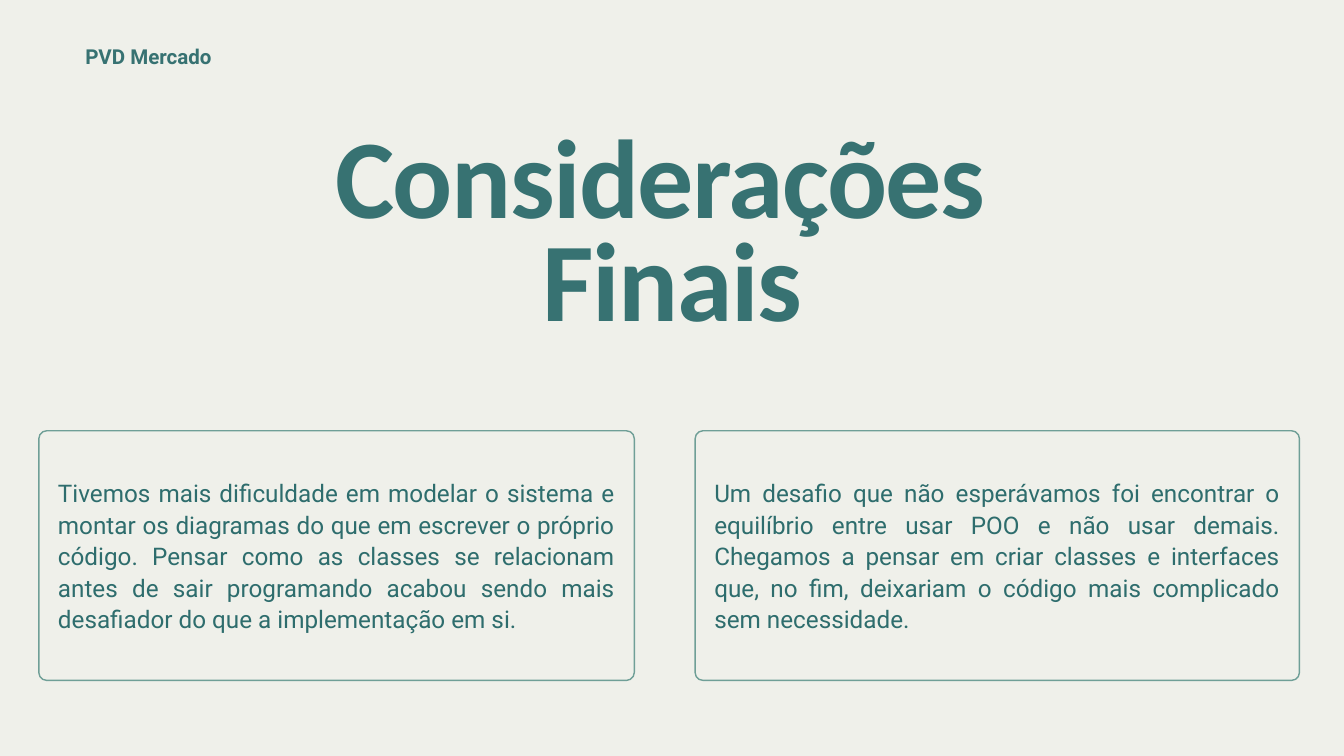
from pptx import Presentation
from pptx.dml.color import RGBColor
from pptx.enum import shapes, text
from pptx.util import Pt

TEAL = RGBColor(0x37, 0x72, 0x72)
DEEP = RGBColor(0x2E, 0x6D, 0x6D)
SAGE = RGBColor(0x6F, 0x9F, 0x97)
PAPER = RGBColor(0xEF, 0xF0, 0xEA)

LEFT = ("Tivemos mais dificuldade em modelar o sistema e montar os diagramas do "
        "que em escrever o próprio código. Pensar como as classes se relacionam "
        "antes de sair programando acabou sendo mais desafiador do que a "
        "implementação em si.")
RIGHT = ("Um desafio que não esperávamos foi encontrar o equilíbrio entre usar POO "
         "e não usar demais. Chegamos a pensar em criar classes e interfaces que, "
         "no fim, deixariam o código mais complicado sem necessidade. ")


def write(frame, lines, size, lead, font="Roboto", color=TEAL, bold=False,
          align=text.PP_ALIGN.JUSTIFY, track=0):
    """Fill a text frame, one paragraph for each line."""
    for i, line in enumerate(lines):
        par = frame.add_paragraph() if i else frame.paragraphs[0]
        par.alignment = align
        par.line_spacing = Pt(lead)
        run = par.add_run()
        run.text = line
        run.font.name = font
        run.font.size = Pt(size)
        run.font.bold = bold
        run.font.color.rgb = color
        if track:
            run.font._element.set("spc", str(round(track * 100)))


class Deck:
    def __init__(self):
        self.prs = Presentation()
        self.prs.slide_width, self.prs.slide_height = Pt(1440), Pt(810)
        self.slide = self.prs.slides.add_slide(self.prs.slide_layouts[6])
        fill = self.slide.background.fill
        fill.solid()
        fill.fore_color.rgb = PAPER

    def label(self, x, y, w, h, lines, **style):
        box = self.slide.shapes.add_textbox(Pt(x), Pt(y), Pt(w), Pt(h))
        frame = box.text_frame
        frame.word_wrap = True
        frame.margin_left = frame.margin_right = 0
        frame.margin_top = frame.margin_bottom = 0
        write(frame, lines, **style)

    def panel(self, x, y, w, h, radius=8.5):
        box = self.slide.shapes.add_shape(
            shapes.MSO_SHAPE.ROUNDED_RECTANGLE, Pt(x), Pt(y), Pt(w), Pt(h))
        box.adjustments[0] = radius / h
        box.shadow.inherit = False
        box.fill.solid()
        box.fill.fore_color.rgb = PAPER
        box.line.color.rgb = SAGE
        box.line.width = Pt(1.5)

    def card(self, x, w, words):
        self.panel(x, 461.5, w, 267.5)
        self.label(x + 20.5, 509.8, w - 41, 168.5, [words],
                   size=26, lead=33.8, color=DEEP)


def main():
    deck = Deck()

    # Header and title
    deck.label(91.4, 54, 280, 21, ["PVD Mercado"], size=22, lead=19.8, bold=True)
    deck.label(265, 147.6, 910.8, 229.7, ["Considerações ", "Finais"],
               size=120, lead=110.4, font="Calibri", bold=True,
               align=text.PP_ALIGN.CENTER, track=-1.6)

    # Closing remarks
    for x, w, words in ((41.6, 638, LEFT), (744.8, 647.5, RIGHT)):
        deck.card(x, w, words)

    deck.prs.save("out.pptx")


if __name__ == "__main__":
    main()
